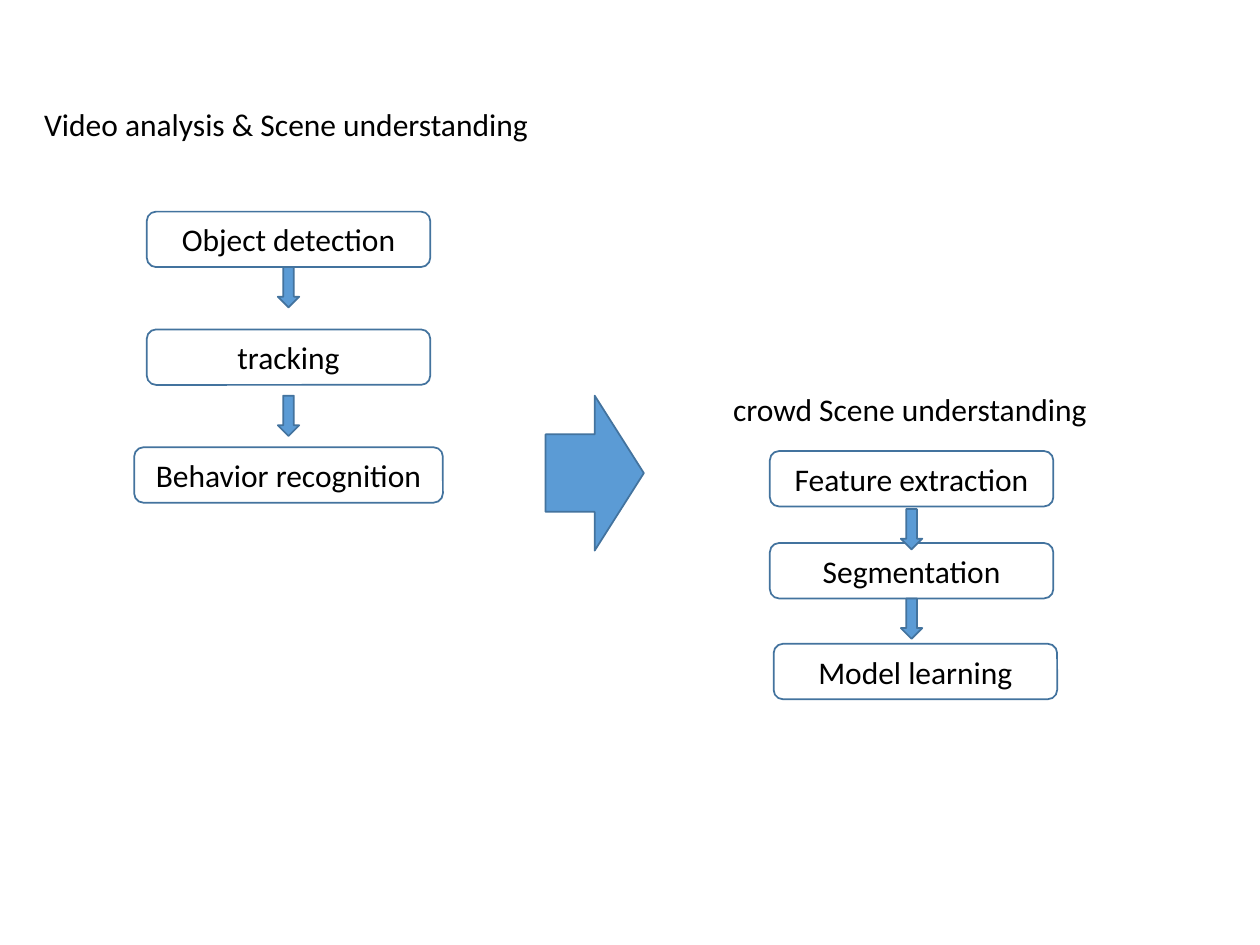
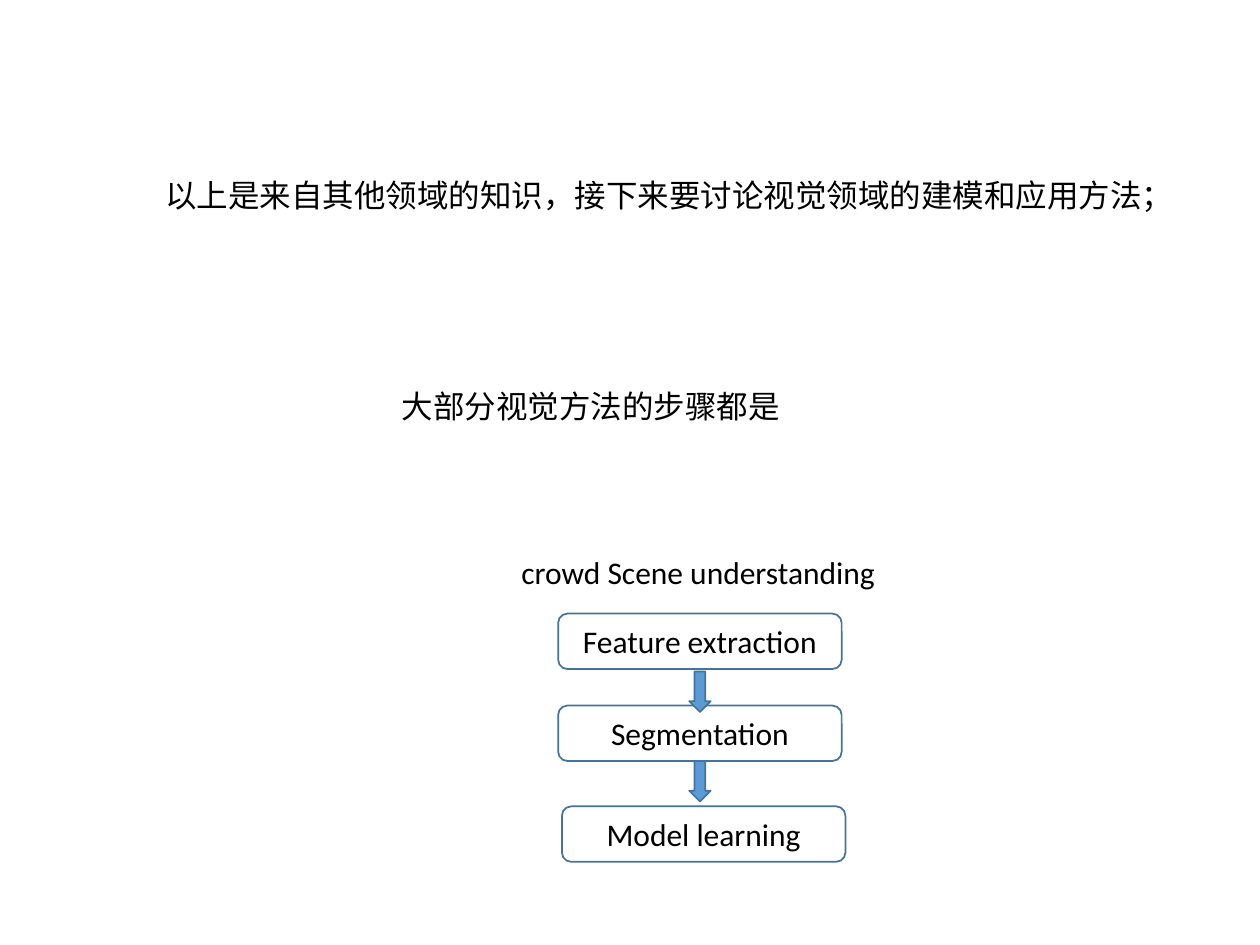
from pptx import Presentation
from pptx.dml.color import RGBColor
from pptx.enum.shapes import MSO_SHAPE as Shape
from pptx.enum.text import MSO_ANCHOR as Anchor, MSO_AUTO_SIZE as AutoSize, PP_ALIGN as Align
from pptx.util import Inches, Pt

BLUE = RGBColor(0x5B, 0x9B, 0xD5)
OUTLINE = RGBColor(0x43, 0x73, 0x9E)
BLACK = RGBColor(0, 0, 0)
STEP_WIDTH, STEP_HEIGHT = 2.25, 0.44
ARROW_WIDTH, ARROW_HEIGHT = 0.17, 0.32
LABEL_HEIGHT = 0.4


def write_text(shape, text, align=Align.LEFT, anchor=Anchor.TOP, wrap=False):
    frame = shape.text_frame
    frame.word_wrap = wrap
    frame.auto_size = AutoSize.NONE if wrap else AutoSize.SHAPE_TO_FIT_TEXT
    frame.vertical_anchor = anchor
    para = frame.paragraphs[0]
    para.alignment = align
    span = para.add_run()
    span.text = text
    span.font.name = "Calibri"
    span.font.size = Pt(18)
    span.font.color.rgb = BLACK


def add_block(page, kind, left, top, width, height, text=None):
    """Add a block arrow, or an unfilled step box when text is given."""
    block = page.shapes.add_shape(kind, *map(Inches, (left, top, width, height)))
    block.shadow.inherit = False
    block.line.color.rgb = OUTLINE
    block.line.width = Pt(1)
    if text:
        block.fill.background()
        write_text(block, text, align=Align.CENTER, anchor=Anchor.MIDDLE, wrap=True)
    else:
        block.fill.solid()
        block.fill.fore_color.rgb = BLUE


deck = Presentation()
deck.slide_width, deck.slide_height = Inches(10), Inches(7.5)
title_only = deck.slide_layouts[5]

# Headings of both slides
headings = [
    ("Video analysis & Scene understanding", 0.25, 0.78, 4.07),
    ("以上是来自其他领域的知识，接下来要讨论视觉领域的建模和应用方法；", 1.21, 1.35, 8.28),
]
for heading, left, top, width in headings:
    title = deck.slides.add_slide(title_only).shapes.title
    title.left, title.top = Inches(left), Inches(top)
    title.width, title.height = Inches(width), Inches(LABEL_HEIGHT)
    write_text(title, heading)
overview, methods = deck.slides

# Video analysis steps, centred on one axis
video_axis = 2.29
video_steps = [("Object detection", STEP_WIDTH), ("tracking", STEP_WIDTH),
               ("Behavior recognition", 2.45)]
for row, (step, width) in enumerate(video_steps):
    add_block(overview, Shape.ROUNDED_RECTANGLE, video_axis - width / 2,
              1.68 + row * 0.935, width, STEP_HEIGHT, text=step)
for top in (2.12, 3.14):
    add_block(overview, Shape.DOWN_ARROW, video_axis - ARROW_WIDTH / 2, top,
              ARROW_WIDTH, ARROW_HEIGHT)

# Link from video analysis to crowd scenes
add_block(overview, Shape.RIGHT_ARROW, 4.33, 3.14, 0.78, 1.23)

# Lead-in to the method steps
lead_in = methods.shapes.add_textbox(Inches(3.09), Inches(3.02), Inches(3.23), Inches(LABEL_HEIGHT))
write_text(lead_in, "大部分视觉方法的步骤都是")

# Crowd scene steps, the same group on both slides
crowd_steps = [("Feature extraction", 0.39, 0.53), ("Segmentation", 0.39, 1.26),
               ("Model learning", 0.42, 2.06)]
for page, left, top in ((overview, 5.72, 3.05), (methods, 4.04, 4.34)):
    label = page.shapes.add_textbox(Inches(left), Inches(top), Inches(3.04), Inches(LABEL_HEIGHT))
    write_text(label, "crowd Scene understanding")
    for step, across, down in crowd_steps:
        add_block(page, Shape.ROUNDED_RECTANGLE, left + across, top + down,
                  STEP_WIDTH, STEP_HEIGHT, text=step)
    for down in (0.99, 1.7):
        add_block(page, Shape.DOWN_ARROW, left + 1.43, top + down, ARROW_WIDTH, ARROW_HEIGHT)

deck.save("out.pptx")
